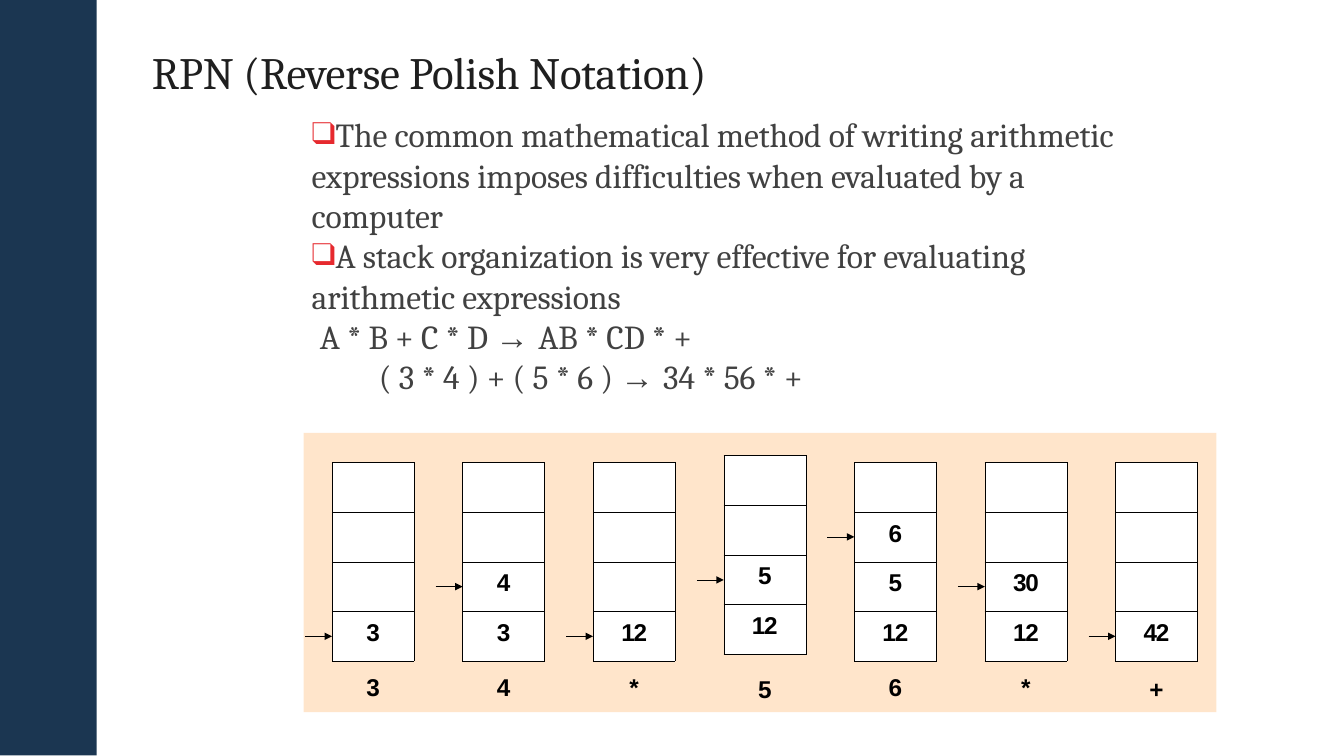
from lxml import etree
from pptx import Presentation
from pptx.dml.color import RGBColor
from pptx.enum.shapes import MSO_CONNECTOR as Connector, MSO_SHAPE as Shape
from pptx.enum.text import PP_ALIGN as Align
from pptx.oxml.ns import qn
from pptx.util import Inches, Pt

# Content
TITLE = "RPN (Reverse Polish Notation)"
BODY = [  # (text, left indent, bulleted, space before)
    ("The common mathematical method of writing arithmetic expressions "
     "imposes difficulties when evaluated by a computer", 0.01, True, 1),
    ("A stack organization is very effective for evaluating arithmetic "
     "expressions", 0.01, True, 0),
    ("A * B + C * D → AB * CD * +", 0.07, False, 0),
    ("( 3 * 4 ) + ( 5 * 6 ) → 34 * 56 * +", 0.51, False, 0.1),
]
STACKS = [  # (symbol read, values from bottom to top, stack top, label top)
    ("3", ["3"], 3.44, 4.98),
    ("4", ["3", "4"], 3.44, 4.98),
    ("*", ["12"], 3.44, 4.98),
    ("5", ["12", "5"], 3.39, 5),
    ("6", ["12", "5", "6"], 3.44, 4.98),
    ("*", ["12", "30"], 3.44, 4.98),
    ("+", ["42"], 3.44, 5),
]

# Formats and layout
TITLE_FONT = {"size": Pt(24), "name": "Cambria"}
BODY_FONT = {"size": Pt(18), "name": "Cambria"}
VALUE_FONT = {"size": Pt(13), "name": "Arial", "bold": True}
ROWS, CELL_WIDTH, CELL_HEIGHT = 4, 0.61, 0.37
FIRST_LEFT, LAST_LEFT = 2.47, 8.3
PITCH = (LAST_LEFT - FIRST_LEFT) / (len(STACKS) - 1)
ARROW_LENGTH = 0.2
HAIRLINE = Pt(0.25)

# Widescreen slide, 16 to 9
presentation = Presentation()
presentation.slide_width = Inches(10)
presentation.slide_height = Inches(10 * 9 / 16)
slide = presentation.slides.add_slide(presentation.slide_layouts[6])


def color(value):
    return RGBColor.from_string(value)


def add(parent, tag, **attributes):
    return etree.SubElement(parent, qn(tag), attributes)


def add_block(left, top, width, height, fill, alpha=None):
    block = slide.shapes.add_shape(
        Shape.RECTANGLE, *map(Inches, (left, top, width, height)))
    block.shadow.inherit = False
    block.fill.solid()
    block.fill.fore_color.rgb = color(fill)
    block.line.fill.background()
    if alpha:
        tone = block._element.spPr.find(".//" + qn("a:srgbClr"))
        add(tone, "a:alpha", val=str(alpha * 1000))


def set_margins(target, top):
    target.margin_left = target.margin_right = target.margin_bottom = 0
    target.margin_top = Inches(top)


def write(paragraph, text, formats, tone, before, spacing=0, align=Align.LEFT):
    paragraph.alignment = align
    paragraph.space_before = Pt(before)
    for part in text.replace("→ ", "|→ |").split("|"):
        run = paragraph.add_run()
        run.text = part
        for name, value in formats.items():
            setattr(run.font, name, value)
        if part == "→ ":
            run.font.name = "Arial"
        run.font.color.rgb = color(tone)
        run._r.get_or_add_rPr().set("spc", str(spacing))


def add_text_frame(left, top, width, height, inset):
    box = slide.shapes.add_textbox(*map(Inches, (left, top, width, height)))
    box.text_frame.word_wrap = True
    set_margins(box.text_frame, inset)
    return box.text_frame


def add_bullet(properties):
    add(add(properties, "a:buClr"), "a:srgbClr", val="E6292E")
    add(properties, "a:buSzPct", val="94000")
    add(properties, "a:buFont", typeface="Cambria")
    add(properties, "a:buChar", char="❑")


def add_stack(left, top, values):
    frame = slide.shapes.add_table(
        ROWS, 1, *map(Inches, (left, top, CELL_WIDTH, ROWS * CELL_HEIGHT)))
    table = frame.table
    table.first_row = table.horz_banding = False
    for row in range(ROWS):
        cell = table.cell(row, 0)
        set_margins(cell, 0)
        properties = cell._tc.get_or_add_tcPr()
        for side in ("a:lnL", "a:lnR", "a:lnT", "a:lnB"):
            border = add(properties, side, w=str(HAIRLINE))
            add(add(border, "a:solidFill"), "a:srgbClr", val="000000")
        cell.fill.solid()
        cell.fill.fore_color.rgb = color("FFFFFF")
        level = ROWS - 1 - row
        if level < len(values):
            set_margins(cell, 0.06)
            spacing = -60 if len(values[level]) > 1 else 0
            write(cell.text_frame.paragraphs[0], values[level], VALUE_FONT,
                  "000000", 4.2, spacing, Align.CENTER)


def add_pointer(tip, y):
    arrow = slide.shapes.add_connector(
        Connector.STRAIGHT, *map(Inches, (tip - ARROW_LENGTH, y, tip, y)))
    arrow.line.width = HAIRLINE
    arrow.line.color.rgb = color("000000")
    properties = arrow._element.spPr
    add(properties.find(qn("a:ln")), "a:tailEnd",
        type="triangle", w="sm", len="sm")
    add(properties, "a:effectLst")


# Side bar, title and explanation
add_block(0, 0, 0.72, 5.62, "1B3651")
title = add_text_frame(1.13, 0.32, 4.38, 0.43, 0.01)
write(title.paragraphs[0], TITLE, TITLE_FONT, "1F1F1F", 1, -12)

body = add_text_frame(2.31, 0.84, 6.3, 2.13, 0.01)
for index, (text, indent, bulleted, before) in enumerate(BODY):
    paragraph = body.add_paragraph() if index else body.paragraphs[0]
    write(paragraph, text, BODY_FONT, "414141", before, -6)
    properties = paragraph._p.get_or_add_pPr()
    properties.set("marL", str(Inches(indent)))
    properties.set("indent", "0")
    if bulleted:
        add_bullet(properties)

# Stack states, each with its pointer and the symbol read
add_block(2.26, 3.22, 6.79, 2.08, "FFCC99", 50)
for index, (symbol, values, top, label_top) in enumerate(STACKS):
    left = FIRST_LEFT + index * PITCH
    add_stack(left, top, values)
    add_pointer(left, top + (ROWS - len(values) + 0.5) * CELL_HEIGHT)
    label = add_text_frame(left, label_top, CELL_WIDTH, 0.25, 0.02)
    write(label.paragraphs[0], symbol, VALUE_FONT, "000000", 1.2,
          align=Align.CENTER)

presentation.save("out.pptx")
